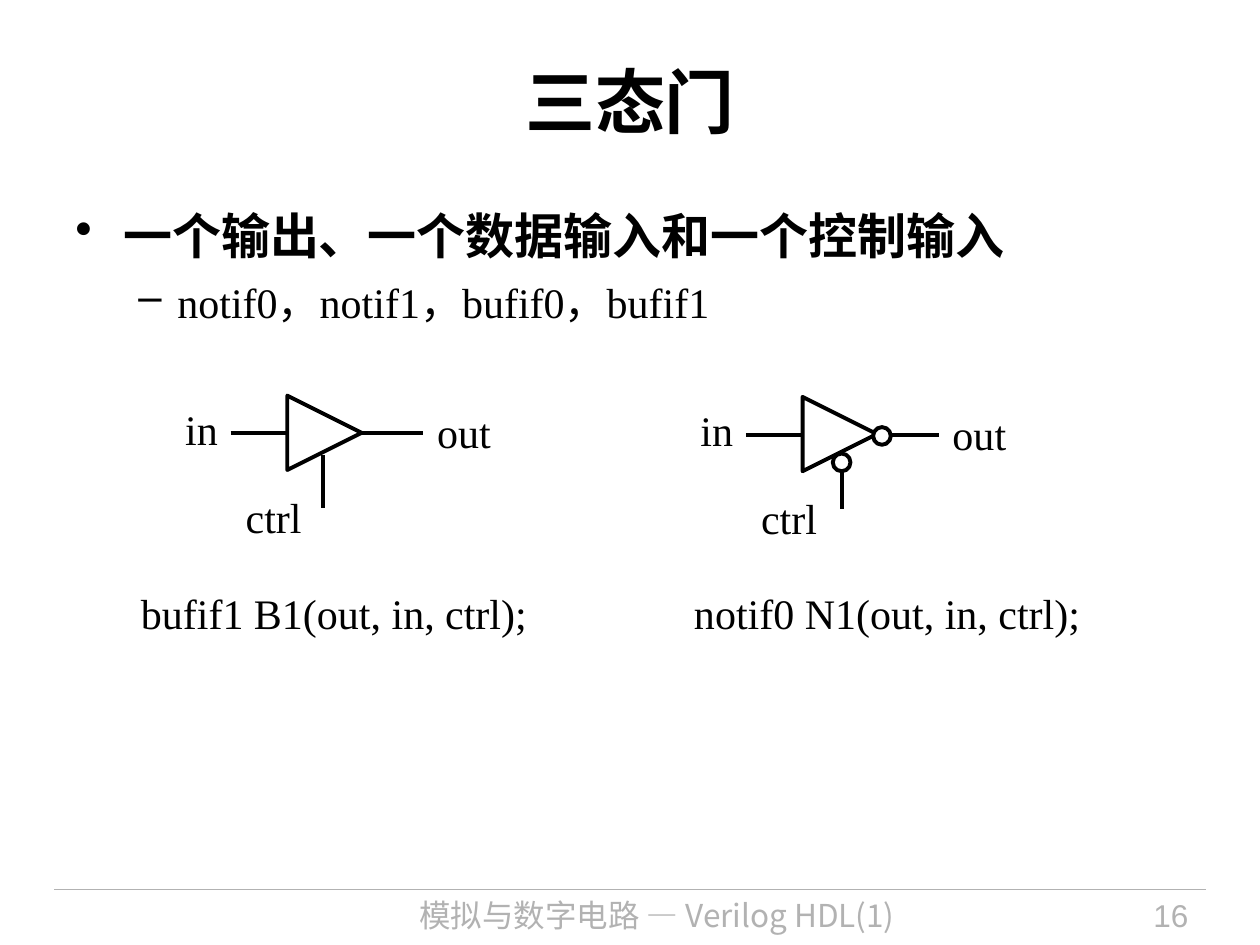
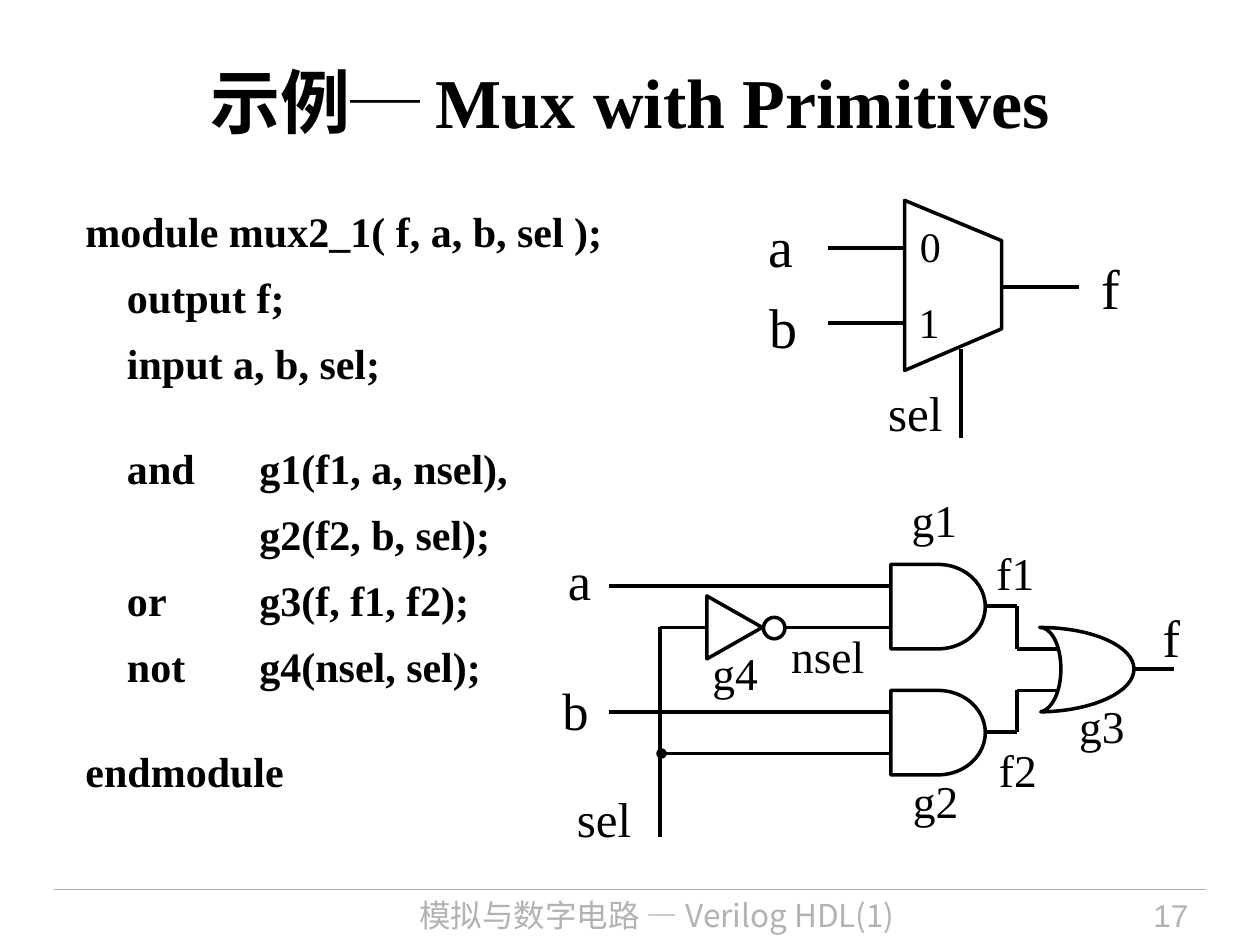
from dataclasses import dataclass

from lxml import etree
from pptx import Presentation
from pptx.dml.color import RGBColor
from pptx.enum.shapes import MSO_CONNECTOR, MSO_SHAPE
from pptx.enum.text import MSO_ANCHOR, PP_ALIGN
from pptx.oxml.ns import qn
from pptx.util import Pt

LEFT, CENTER, RIGHT = PP_ALIGN.LEFT, PP_ALIGN.CENTER, PP_ALIGN.RIGHT
MIDDLE = MSO_ANCHOR.MIDDLE
STRAIGHT = MSO_CONNECTOR.STRAIGHT
OVAL = MSO_SHAPE.OVAL
TRIANGLE = MSO_SHAPE.ISOSCELES_TRIANGLE
EXTRACT = MSO_SHAPE.FLOWCHART_EXTRACT
AND_GATE = MSO_SHAPE.FLOWCHART_DELAY
TITLE_ONLY = 5
EMU_PER_PX = 9144
INSET = (10, 5)


@dataclass(frozen=True)
class Theme:
    ink: RGBColor = RGBColor(0, 0, 0)
    paper: RGBColor = RGBColor(255, 255, 255)
    muted: RGBColor = RGBColor(0xB2, 0xB2, 0xB2)
    serif: str = "Times New Roman"
    cjk: str = "Noto Sans CJK SC"
    sans: str = "Arial"
    title: int = 40
    heading: int = 28
    body: int = 24
    footer: int = 18
    gate_name: int = 26
    port: int = 30
    mux_port: int = 32
    bold_line: float = 2.25
    line: float = 2
    thin_line: float = 0.75


THEME = Theme()


def px(value):
    return round(value * EMU_PER_PX)


def add_run(paragraph, text, size, font=THEME.serif, color=THEME.ink, bold=False):
    run = paragraph.add_run()
    run.text = text
    run.font.size = Pt(size)
    run.font.name = font
    run.font.bold = bold
    run.font.color.rgb = color
    east_asian = etree.SubElement(run._r.get_or_add_rPr(), qn("a:ea"))
    east_asian.set("typeface", THEME.cjk)


def set_indent(paragraph, margin, first_line):
    properties = paragraph._p.get_or_add_pPr()
    properties.set("marL", str(px(margin)))
    properties.set("indent", str(px(first_line)))
    return properties


def set_insets(frame, inset):
    frame.margin_left = frame.margin_right = px(inset[0])
    frame.margin_top = frame.margin_bottom = px(inset[1])


def bezier(start, control_1, control_2, end, steps=16):
    points = []
    for step in range(1, steps + 1):
        t = step / steps
        weights = ((1 - t) ** 3, 3 * t * (1 - t) ** 2, 3 * t * t * (1 - t), t ** 3)
        corners = (start, control_1, control_2, end)
        points.append(tuple(sum(w * corner[axis] for w, corner in zip(weights, corners))
                            for axis in (0, 1)))
    return points


@dataclass
class Region:
    slide: object
    left: int = 0
    top: int = 0
    line_width: float = THEME.line

    def box(self, left, top, width, height):
        return px(self.left + left), px(self.top + top), px(width), px(height)

    def point(self, position):
        return px(self.left + position[0]), px(self.top + position[1])

    def text_frame(self, left, top, width, height, inset=INSET):
        frame = self.slide.shapes.add_textbox(*self.box(left, top, width, height)).text_frame
        frame.word_wrap = True
        set_insets(frame, inset)
        return frame

    def label(self, text, left, top, width, height, size, align=LEFT, inset=INSET,
              spacing=None, font=THEME.serif, color=THEME.ink):
        paragraph = self.text_frame(left, top, width, height, inset).paragraphs[0]
        paragraph.alignment = align
        if spacing:
            paragraph.line_spacing = spacing
        add_run(paragraph, text, size, font, color)

    def wire(self, start, end, color=THEME.ink, dot=False):
        connector = self.slide.shapes.add_connector(STRAIGHT, *self.point(start), *self.point(end))
        connector.line.color.rgb = color
        connector.line.width = Pt(self.line_width)
        etree.SubElement(connector._element.spPr, qn("a:effectLst"))
        if dot:
            head = etree.SubElement(connector.line._get_or_add_ln(), qn("a:headEnd"))
            head.set("type", "oval")

    def outline(self, shape, filled=False):
        shape.shadow.inherit = False
        if filled:
            shape.fill.solid()
            shape.fill.fore_color.rgb = THEME.paper
        else:
            shape.fill.background()
        shape.line.color.rgb = THEME.ink
        shape.line.width = Pt(self.line_width)

    def symbol(self, kind, left, top, width, height, rotation=0, filled=False):
        shape = self.slide.shapes.add_shape(kind, *self.box(left, top, width, height))
        shape.rotation = rotation
        self.outline(shape, filled)

    def polygon(self, points):
        start, *rest = [self.point(position) for position in points]
        builder = self.slide.shapes.build_freeform(*start, scale=1.0)
        builder.add_line_segments(rest, close=True)
        self.outline(builder.convert_to_shape())


def add_footer(slide, number):
    footer = Region(slide, 43, 706, THEME.thin_line)
    footer.wire((0, 0), (914, 0), color=THEME.muted)
    footer.label("模拟与数字电路 — Verilog HDL(1)", 197, 0, 563, 44, THEME.footer,
                 CENTER, font=THEME.cjk, color=THEME.muted)
    footer.label(str(number), 777, 0, 133, 44, THEME.footer, RIGHT,
                 font=THEME.sans, color=THEME.muted)


def add_titled_slide(presentation, title_runs, number):
    slide = presentation.slides.add_slide(presentation.slide_layouts[TITLE_ONLY])
    title = slide.shapes.title
    title.left, title.top, title.width, title.height = (px(v) for v in (50, 17, 900, 125))
    frame = title.text_frame
    set_insets(frame, INSET)
    frame.vertical_anchor = MIDDLE
    paragraph = frame.paragraphs[0]
    paragraph.alignment = CENTER
    for text, font in title_runs:
        add_run(paragraph, text, THEME.title, font, bold=True)
    add_footer(slide, number)
    return slide


def add_bullets(slide, left, top):
    frame = Region(slide, left, top).text_frame(0, 0, 900, 130)
    bullets = (
        ("一个输出、一个数据输入和一个控制输入", "•", 38, -38, 7, THEME.heading, True),
        ("notif0，notif1，bufif0，bufif1", "–", 81, -31, 6, THEME.body, False),
    )
    for index, (text, mark, margin, first_line, after, size, bold) in enumerate(bullets):
        paragraph = frame.add_paragraph() if index else frame.paragraphs[0]
        paragraph.space_after = Pt(after)
        properties = set_indent(paragraph, margin, first_line)
        etree.SubElement(properties, qn("a:buChar")).set("char", mark)
        add_run(paragraph, text, size, bold=bold)


def add_tri_state_gate(slide, left, top, inverted=False):
    gate = Region(slide, left, top, THEME.bold_line)
    gate.wire((36, 30), (189, 30))
    gate.symbol(EXTRACT, 81, 0, 59, 59, rotation=90, filled=True)
    control_x = 112 if inverted else 109
    gate.wire((control_x, 47), (control_x, 89))
    for text, x, y in (("in", 0, 6), ("out", 200, 9), ("ctrl", 48, 76)):
        gate.label(text, x, y, 67, 32, THEME.body, inset=(0, 0))
    if inverted:
        for x, y in ((137, 24), (105, 45)):
            gate.symbol(OVAL, x, y, 14, 14, filled=True)


def add_code(slide, left, top):
    frame = Region(slide, left, top).text_frame(0, 0, 453, 539)
    statement, call = 33, 138
    lines = (
        ("module mux2_1( f, a, b, sel );", 0, 0, 3),
        ("output f;", statement, 0, 3),
        ("input a, b, sel;", statement, 0, 3),
        ("and\tg1(f1, a, nsel),", call, statement - call, 25),
        ("g2(f2, b, sel);", call, 0, 3),
        ("or\tg3(f, f1, f2);", call, statement - call, 3),
        ("not\tg4(nsel, sel);", call, statement - call, 3),
        ("endmodule", 0, 0, 25),
    )
    for index, (text, margin, first_line, before) in enumerate(lines):
        paragraph = frame.add_paragraph() if index else frame.paragraphs[0]
        paragraph.space_before = Pt(before)
        paragraph.space_after = Pt(6)
        properties = set_indent(paragraph, margin, first_line)
        if first_line:
            tab = etree.SubElement(etree.SubElement(properties, qn("a:tabLst")), qn("a:tab"))
            tab.set("pos", "0")
            tab.set("algn", "l")
        add_run(paragraph, text, THEME.body, bold=True)


def add_mux(slide, left, top):
    mux = Region(slide, left, top, THEME.bold_line)
    for start, end in (((57, 38), (118, 38)), ((57, 97), (118, 97)),
                       ((195, 69), (256, 69)), ((163, 118), (163, 189))):
        mux.wire(start, end)
    for text, x, y, width, size, inset in (
        ("a", 10, 9, 25, THEME.mux_port, (0, 0)),
        ("b", 1, 68, 45, THEME.mux_port, INSET),
        ("f", 264, 37, 40, THEME.mux_port, INSET),
        ("sel", 95, 140, 75, THEME.heading, INSET),
        ("0", 130, 16, 20, THEME.body, (0, 0)),
        ("1", 129, 76, 20, THEME.body, (0, 0)),
    ):
        mux.label(text, x, y, width, 55, size, inset=inset)
    mux.line_width = THEME.line
    mux.polygon(((118, 0), (195, 32), (195, 102), (118, 135)))


def add_or_gate(circuit):
    top, nose, notch = (399, 106), (474, 139), (416, 139)
    front_end, back_start = (402, 173), (400, 173)
    circuit.polygon([
        top,
        *bezier(top, (441, 106), (474, 121), nose),
        *bezier(nose, (474, 157), (442, 172), front_end),
        back_start,
        *bezier(back_start, (409, 171), (416, 157), notch),
        *bezier(notch, (416, 121), (409, 106), top),
    ])


def add_gate_circuit(slide, left, top):
    circuit = Region(slide, left, top)
    for offset, or_input in ((0, 123), (100, 156)):
        output = 89 + offset
        circuit.symbol(AND_GATE, 281, 56 + offset, 75, 67)
        circuit.wire((57, 73 + offset), (281, 73 + offset))
        circuit.wire((356, output), (381, output))
        circuit.wire((381, output), (381, or_input))
        circuit.wire((381, or_input), (414, or_input))
    circuit.symbol(TRIANGLE, 132, 84, 50, 44, rotation=90)
    circuit.symbol(OVAL, 180, 98, 17, 17)
    add_or_gate(circuit)
    for start, end in (((98, 106), (135, 106)), ((198, 106), (281, 106)),
                       ((98, 106), (98, 272)), ((473, 139), (506, 139))):
        circuit.wire(start, end)
    circuit.wire((99, 206), (281, 206), dot=True)
    for text, x, y, width, size, align in (
        ("a", 4, 46, 49, THEME.port, RIGHT),
        ("b", 0, 149, 51, THEME.port, RIGHT),
        ("sel", 22, 236, 86, THEME.heading, LEFT),
        ("f", 487, 91, 50, THEME.port, LEFT),
        ("nsel", 192, 108, 97, THEME.gate_name, LEFT),
        ("f1", 355, 42, 75, THEME.gate_name, LEFT),
        ("f2", 357, 199, 75, THEME.gate_name, LEFT),
        ("g1", 278, 0, 75, THEME.gate_name, CENTER),
        ("g2", 279, 223, 75, THEME.gate_name, CENTER),
        ("g3", 411, 164, 75, THEME.gate_name, CENTER),
        ("g4", 120, 122, 75, THEME.gate_name, CENTER),
    ):
        circuit.label(text, x, y, width, 50, size, align, spacing=0.85)


def build_tri_state_slide(presentation):
    slide = add_titled_slide(presentation, [("三态门", THEME.serif)], 16)
    add_bullets(slide, 50, 158)
    add_tri_state_gate(slide, 147, 314)
    add_tri_state_gate(slide, 556, 315, inverted=True)
    captions = Region(slide, 102, 461)
    for text, x in (("bufif1 B1(out, in, ctrl);", 0), ("notif0 N1(out, in, ctrl);", 439)):
        captions.label(text, x, 0, 350, 50, THEME.body)


def build_mux_slide(presentation):
    title_runs = [("示例", THEME.serif), ("─ ", THEME.cjk), ("Mux with Primitives", THEME.serif)]
    slide = add_titled_slide(presentation, title_runs, 17)
    add_code(slide, 58, 158)
    add_mux(slide, 600, 159)
    add_gate_circuit(slide, 426, 392)


def main():
    presentation = Presentation()
    presentation.slide_width, presentation.slide_height = px(1000), px(750)
    build_tri_state_slide(presentation)
    build_mux_slide(presentation)
    presentation.save("out.pptx")


if __name__ == "__main__":
    main()
